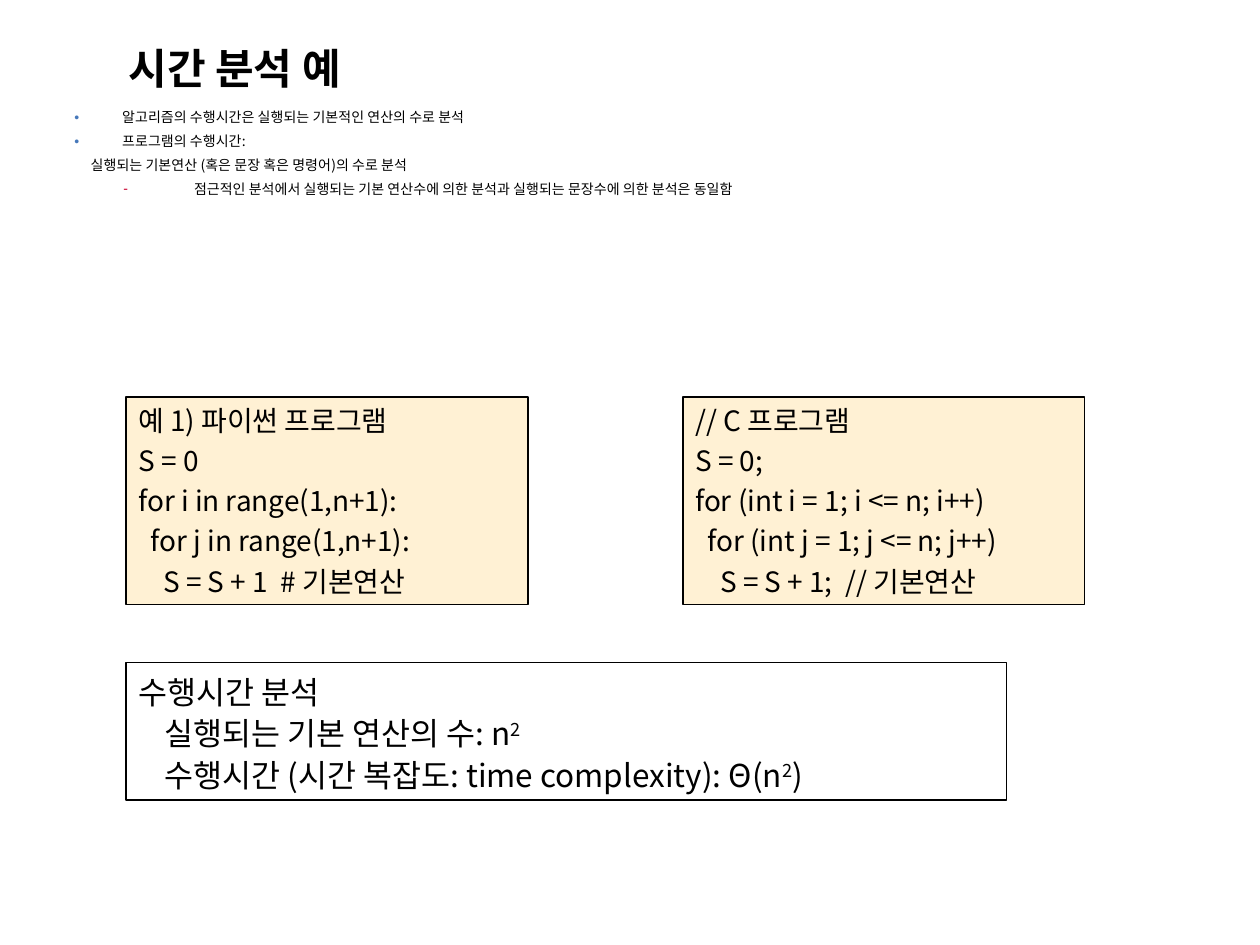
from pptx import Presentation
from pptx.dml.color import RGBColor
from pptx.enum.shapes import MSO_SHAPE
from pptx.enum.text import MSO_ANCHOR, MSO_AUTO_SIZE, PP_ALIGN
from pptx.oxml.ns import qn
from pptx.util import Inches, Pt
from lxml.etree import SubElement

FONT = "Noto Sans CJK KR"
BLACK = RGBColor(0x00, 0x00, 0x00)
CREAM = RGBColor(0xFF, 0xF1, 0xD4)
BLUE = RGBColor(0x46, 0x78, 0xBA)
CRIMSON = RGBColor(0xCA, 0x00, 0x30)

TITLE = "시간 분석 예"

# text, level, left margin, first-line indent, bullet, bullet colour
POINTS = [
    ("알고리즘의 수행시간은 실행되는 기본적인 연산의 수로 분석", 0, 0.49, -0.38, "•", BLUE),
    ("프로그램의 수행시간:", 0, 0.49, -0.38, "•", BLUE),
    ("실행되는 기본연산 (혹은 문장 혹은 명령어)의 수로 분석", 0, 0.49, -0.25, None, None),
    ("점근적인 분석에서 실행되는 기본 연산수에 의한 분석과 실행되는 문장수에 의한 분석은 동일함",
     1, 1.06, -0.56, "-", CRIMSON),
]

PROGRAMS = [
    ["예 1) 파이썬 프로그램",
     "S = 0",
     "for i in range(1,n+1):",
     "  for j in range(1,n+1):",
     "    S = S + 1  # 기본연산"],
    ["// C 프로그램",
     "S = 0;",
     "for (int i = 1; i <= n; i++)",
     "  for (int j = 1; j <= n; j++)",
     "    S = S + 1;  // 기본연산"],
]

# text between carets is superscript; second value is the left margin
ANALYSIS = [
    ("수행시간 분석", 0),
    ("실행되는 기본 연산의 수: n^2^", 0.21),
    ("수행시간 (시간 복잡도: time complexity): Θ(n^2^)", 0.21),
]

LEFT = 1
CODE_TOP, CODE_WIDTH, CODE_HEIGHT, CODE_PITCH = 3.15, 3.19, 1.65, 4.42
ANALYSIS_BOX = (LEFT, 5.26, 6.99, 1.09)


def write(frame, text, size, bold=False, spacing=1.0, before=0, level=0,
          margin=0, indent=0, bullet=None, bullet_color=None):
    """Add one paragraph, filling the frame's first one if it is still empty."""
    paragraph = frame.paragraphs[0]
    if paragraph.runs:
        paragraph = frame.add_paragraph()
    paragraph.alignment = PP_ALIGN.LEFT
    paragraph.level = level
    paragraph.line_spacing = spacing
    paragraph.space_before = Pt(before)
    properties = paragraph._p.get_or_add_pPr()
    properties.set("marL", str(Inches(margin)))
    properties.set("indent", str(Inches(indent)))
    if bullet:
        color = SubElement(properties, qn("a:buClr"))
        SubElement(color, qn("a:srgbClr")).set("val", str(bullet_color))
        SubElement(properties, qn("a:buChar")).set("char", bullet)
    else:
        SubElement(properties, qn("a:buNone"))

    for position, part in enumerate(text.split("^")):
        if not part:
            continue
        run = paragraph.add_run()
        run.text = part
        run.font.name = FONT
        run.font.size = Pt(size)
        run.font.bold = bold
        run.font.color.rgb = BLACK
        run_properties = run.font._element
        SubElement(run_properties, qn("a:ea")).set("typeface", FONT)
        if position % 2:
            run_properties.set("baseline", "30000")


def place(shape, left, top, width, height):
    shape.left, shape.top = Inches(left), Inches(top)
    shape.width, shape.height = Inches(width), Inches(height)
    shape.text_frame.auto_size = MSO_AUTO_SIZE.NONE
    return shape.text_frame


def add_box(slide, left, top, width, height, fill=None):
    box = slide.shapes.add_shape(MSO_SHAPE.RECTANGLE, *map(Inches, (left, top, width, height)))
    box.shadow.inherit = False
    if fill is None:
        box.fill.background()
    else:
        box.fill.solid()
        box.fill.fore_color.rgb = fill
    box.line.color.rgb = BLACK
    box.line.width = Pt(0.75)
    frame = box.text_frame
    frame.word_wrap = True
    frame.auto_size = MSO_AUTO_SIZE.SHAPE_TO_FIT_TEXT
    frame.vertical_anchor = MSO_ANCHOR.TOP
    return frame


def main():
    deck = Presentation()
    deck.slide_width, deck.slide_height = Inches(10), Inches(7.5)
    slide = deck.slides.add_slide(deck.slide_layouts[1])
    title, body = slide.placeholders

    title_frame = place(title, 0.92, 0.25, 6.58, 0.58)
    title_frame.vertical_anchor = MSO_ANCHOR.MIDDLE
    write(title_frame, TITLE, 24, bold=True)

    body_frame = place(body, 0.38, 0.83, 9.23, 5.5)
    for text, level, margin, indent, bullet, color in POINTS:
        write(body_frame, text, 8, spacing=0.9, before=5, level=level,
              margin=margin, indent=indent, bullet=bullet, bullet_color=color)

    analysis_frame = add_box(slide, *ANALYSIS_BOX)
    for text, margin in ANALYSIS:
        write(analysis_frame, text, 18, spacing=1.1, margin=margin)

    for column, program in enumerate(PROGRAMS):
        code_frame = add_box(slide, LEFT + column * CODE_PITCH, CODE_TOP,
                             CODE_WIDTH, CODE_HEIGHT, fill=CREAM)
        for row, code in enumerate(program):
            write(code_frame, code, 16, spacing=1.2 if row else 1.0)

    deck.save("out.pptx")


if __name__ == "__main__":
    main()
